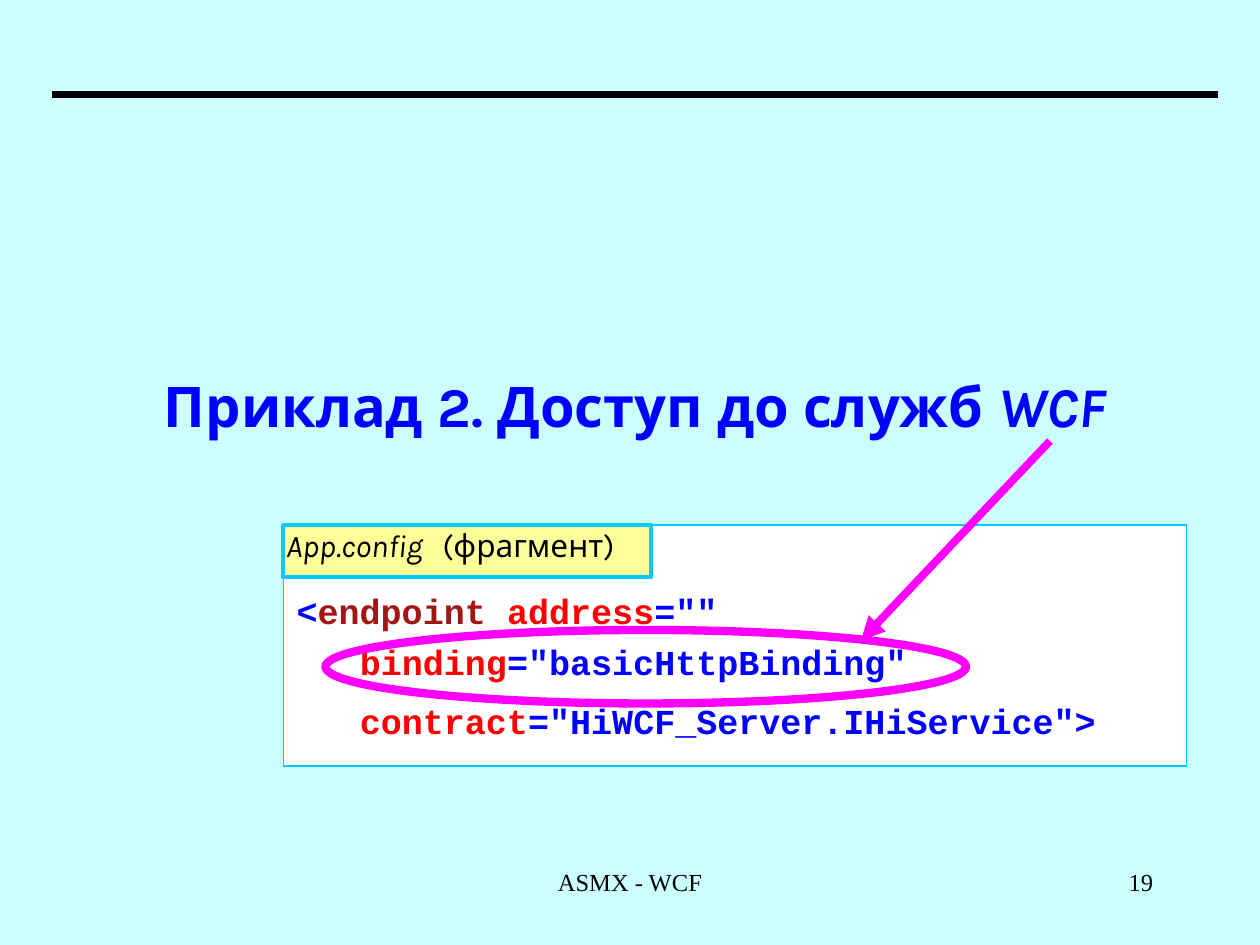
from dataclasses import dataclass
from typing import Optional

from lxml.etree import SubElement
from pptx import Presentation
from pptx.dml.color import RGBColor
from pptx.enum.shapes import MSO_CONNECTOR, MSO_SHAPE
from pptx.enum.text import MSO_ANCHOR, MSO_AUTO_SIZE, PP_ALIGN
from pptx.oxml.ns import qn
from pptx.util import Pt

EMU_PER_PX = 9525


@dataclass(frozen=True)
class Theme:
    page: str = "CCFFFF"
    ink: str = "000000"
    blue: str = "0000FF"
    element: str = "A31515"
    attribute: str = "FF0000"
    panel: str = "FFFFFF"
    label: str = "FFFF99"
    border: str = "00CCFF"
    accent: str = "FF00FF"
    heading_font: str = "Karla"
    code_font: str = "Courier New"
    footer_font: str = "Times New Roman"
    title_size: int = 32
    code_size: int = 20
    label_size: int = 18
    footer_size: int = 14


THEME = Theme()


@dataclass(frozen=True)
class Frame:
    left: int
    top: int
    width: int
    height: int

    def emu(self) -> list[int]:
        return [px(n) for n in (self.left, self.top, self.width, self.height)]


@dataclass(frozen=True)
class Style:
    font: str
    size: int
    color: str
    bold: bool = False


@dataclass(frozen=True)
class Span:
    text: str
    color: Optional[str] = None
    italic: bool = False
    break_before: bool = False


@dataclass(frozen=True)
class Footer:
    text: str
    frame: Frame
    align: PP_ALIGN


def px(length: int) -> int:
    return length * EMU_PER_PX


def rgb(color: str) -> RGBColor:
    return RGBColor.from_string(color)


def write(para, spans: list[Span], style: Style) -> None:
    for span in spans:
        if span.break_before:
            para.add_line_break()
        run = para.add_run()
        run.text = span.text
        font = run.font
        font.name, font.size = style.font, Pt(style.size)
        font.bold, font.italic = style.bold, span.italic
        font.color.rgb = rgb(span.color or style.color)


def set_insets(text_frame, left: int, top: int, right: int, bottom: int) -> None:
    text_frame.margin_left, text_frame.margin_top = px(left), px(top)
    text_frame.margin_right, text_frame.margin_bottom = px(right), px(bottom)


def add_outlined(page, kind: MSO_SHAPE, frame: Frame, fill: Optional[str],
                 line: str, weight: float):
    shape = page.shapes.add_shape(kind, *frame.emu())
    shape.shadow.inherit = False
    if fill:
        shape.fill.solid()
        shape.fill.fore_color.rgb = rgb(fill)
    else:
        shape.fill.background()
    shape.line.color.rgb = rgb(line)
    shape.line.width = Pt(weight)
    shape.text_frame.word_wrap = True
    shape.text_frame.vertical_anchor = MSO_ANCHOR.TOP
    return shape


def add_line(page, start: tuple[int, int], end: tuple[int, int], color: str,
             arrow: bool = False) -> None:
    points = [px(n) for n in (*start, *end)]
    line = page.shapes.add_connector(MSO_CONNECTOR.STRAIGHT, *points)
    line.line.color.rgb = rgb(color)
    line.line.width = Pt(4.5)
    properties = line._element.spPr
    if arrow:
        SubElement(properties.find(qn("a:ln")), qn("a:tailEnd"), type="triangle")
    SubElement(properties, qn("a:effectLst"))


def add_title(page) -> None:
    title = page.shapes.title
    title.left, title.top, title.width, title.height = Frame(32, 272, 904, 80).emu()
    box = title.text_frame
    box.auto_size = MSO_AUTO_SIZE.NONE
    box.vertical_anchor = MSO_ANCHOR.MIDDLE
    para = box.paragraphs[0]
    para.alignment = PP_ALIGN.CENTER
    para.line_spacing = 0.9
    style = Style(THEME.heading_font, THEME.title_size, THEME.blue, bold=True)
    write(para, [Span("Приклад 2. Доступ до служб "), Span("WCF", italic=True)], style)


def add_code(page) -> None:
    panel = add_outlined(page, MSO_SHAPE.RECTANGLE, Frame(216, 400, 688, 184),
                         THEME.panel, THEME.border, 1)
    box = panel.text_frame
    set_insets(box, 10, 43, 10, 5)
    lines = [
        [Span("<"), Span("endpoint ", THEME.element),
         Span("address", THEME.attribute), Span('="" '),
         Span("   ", break_before=True), Span("binding", THEME.attribute),
         Span('="basicHttpBinding"')],
        [Span("   "), Span("contract", THEME.attribute),
         Span('="HiWCF_Server.IHiService">')],
    ]
    style = Style(THEME.code_font, THEME.code_size, THEME.blue, bold=True)
    for index, spans in enumerate(lines):
        para = box.add_paragraph() if index else box.paragraphs[0]
        para.alignment = PP_ALIGN.LEFT
        para.line_spacing = 1.2
        para.space_before = Pt(5 if index else 0)
        write(para, spans, style)


def add_label(page) -> None:
    label = add_outlined(page, MSO_SHAPE.RECTANGLE, Frame(216, 400, 280, 40),
                         THEME.label, THEME.border, 2.25)
    box = label.text_frame
    set_insets(box, 2, 9, 0, 1)
    para = box.paragraphs[0]
    tabs = SubElement(para._p.get_or_add_pPr(), qn("a:tabLst"))
    SubElement(tabs, qn("a:tab"), pos=str(px(119)), algn="l")
    para.alignment = PP_ALIGN.LEFT
    para.line_spacing = 0.7
    style = Style(THEME.heading_font, THEME.label_size, THEME.ink)
    write(para, [Span("App.config\t", italic=True), Span("(фрагмент)")], style)


def add_footer(page, footer: Footer) -> None:
    box = page.shapes.add_textbox(*footer.frame.emu()).text_frame
    box.word_wrap = True
    para = box.paragraphs[0]
    para.alignment = footer.align
    style = Style(THEME.footer_font, THEME.footer_size, THEME.ink)
    write(para, [Span(footer.text)], style)


def main() -> None:
    deck = Presentation()
    deck.slide_width, deck.slide_height = px(960), px(720)
    page = deck.slides.add_slide(deck.slide_layouts[5])
    page.background.fill.solid()
    page.background.fill.fore_color.rgb = rgb(THEME.page)
    add_title(page)
    add_line(page, (40, 72), (928, 72), THEME.ink)
    add_code(page)
    add_label(page)
    add_outlined(page, MSO_SHAPE.OVAL, Frame(248, 480, 488, 56), None, THEME.accent, 4.75)
    add_line(page, (800, 336), (656, 488), THEME.accent, arrow=True)
    for footer in (Footer("ASMX - WCF", Frame(328, 656, 304, 48), PP_ALIGN.CENTER),
                   Footer("19", Frame(688, 656, 200, 48), PP_ALIGN.RIGHT)):
        add_footer(page, footer)
    deck.save("out.pptx")


if __name__ == "__main__":
    main()
